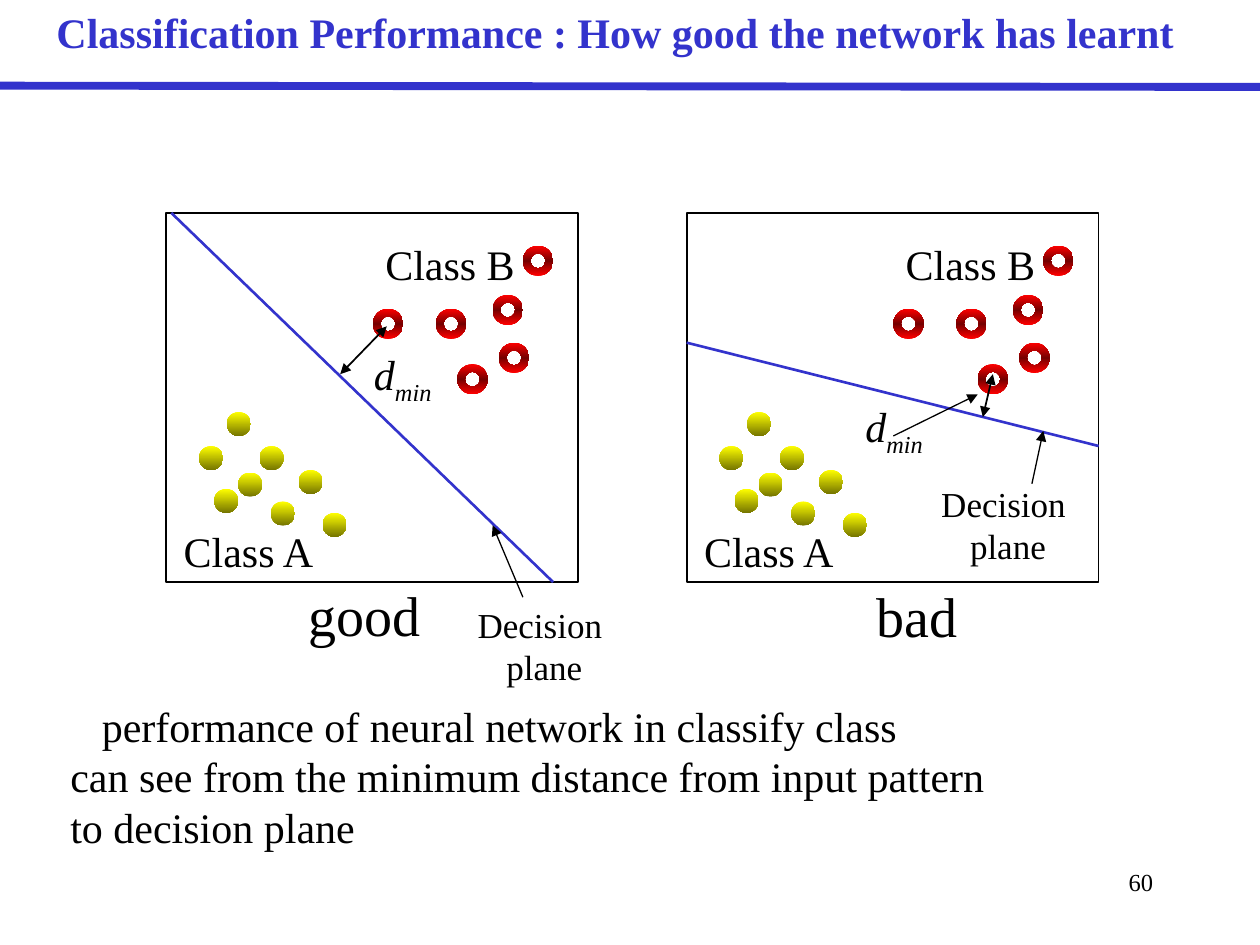
from copy import deepcopy

from lxml import etree
from pptx import Presentation
from pptx import util as u
from pptx.dml.color import RGBColor
from pptx.enum import shapes, text
from pptx.oxml.ns import qn

PX = 9144  # EMU in one px, 100 px to the inch
FONT = "Times New Roman"
COLORS = {
    "blue": "3333CC",
    "black": "000000",
    "yellow": "FFFF00",
    "olive": "767600",
    "red": "FF0000",
    "maroon": "760000",
}
PANEL_TOP, PANEL_WIDTH, PANEL_HEIGHT = 169, 327, 293
GOOD_LEFT, BAD_LEFT = 132, 545

# Corners of the points, measured from the left of a panel and the top of the slide
CLASS_A = [(38, 388), (74, 354), (48, 327), (124, 407),
           (83, 398), (26, 354), (57, 375), (105, 373)]
CLASS_B = [(164, 245), (283, 195), (259, 234), (214, 245), (264, 272), (231, 289)]


def px(*lengths):
    return [u.Emu(length * PX) for length in lengths]


def rgb(name):
    return RGBColor.from_string(COLORS[name])


def add_line(page, start, end, color="black", width=0.75, arrows=()):
    line = page.shapes.add_connector(
        shapes.MSO_CONNECTOR.STRAIGHT, *px(*start, *end))
    line.line.color.rgb = rgb(color)
    line.line.width = u.Pt(width)
    outline = line.line._get_or_add_ln()
    for arrow in arrows:
        etree.SubElement(outline, qn("a:" + arrow), type="triangle")
    etree.SubElement(line._element.spPr, qn("a:effectLst"))


def style_span(span, size, color="black", bold=False, italic=False):
    span.font.name = FONT
    span.font.size = u.Pt(size)
    span.font.bold = bold
    span.font.italic = italic
    span.font.color.rgb = rgb(color)


def add_text(page, box_px, lines, size=24, color="black", bold=False,
             align=text.PP_ALIGN.LEFT, wrap=False):
    box = page.shapes.add_textbox(*px(*box_px))
    frame = box.text_frame
    frame.text = "\n".join(lines)
    frame.word_wrap = wrap
    frame.auto_size = text.MSO_AUTO_SIZE.SHAPE_TO_FIT_TEXT
    for para in frame.paragraphs:
        para.alignment = align
        for span in para.runs:
            style_span(span, size, color, bold)
    return frame


def add_distance_label(page, left, top):
    # Wide enough to hold the symbol and its subscript on one line
    para = add_text(page, (left, top, 80, 56), ["d"], wrap=True).paragraphs[0]
    para.add_run().text = "min"
    for span in para.runs:
        style_span(span, 24, italic=True)
    para.runs[1].font._element.set("baseline", "-25000")


def add_plane_label(page, left, top):
    add_text(page, (left, top, 126, 77), ["Decision ", "plane"], size=20,
             align=text.PP_ALIGN.CENTER)


def add_point(page, kind, left, top, size, colors):
    point = page.shapes.add_shape(kind, *px(left, top, size, size))
    point.shadow.inherit = False
    point.line.fill.background()
    point.fill.gradient()
    point.fill.gradient_angle = 270  # first colour at the top
    stop_list = point._element.spPr.find(".//" + qn("a:gsLst"))
    while len(stop_list) < len(colors):
        stop_list.append(deepcopy(stop_list[0]))
    for index, (stop, color) in enumerate(zip(point.fill.gradient_stops, colors)):
        stop.position = index / (len(colors) - 1)
        stop.color.rgb = rgb(color)


def add_panel(page, left, plane_start, plane_end):
    # Frame
    frame = page.shapes.add_shape(
        shapes.MSO_SHAPE.RECTANGLE, *px(left, PANEL_TOP, PANEL_WIDTH, PANEL_HEIGHT))
    frame.shadow.inherit = False
    frame.fill.background()
    frame.line.color.rgb = rgb("black")
    frame.line.width = u.Pt(1)

    # Points of both classes
    for x, y in CLASS_A:
        add_point(page, shapes.MSO_SHAPE.OVAL, left + x, y, 19, ["yellow", "olive"])
    for x, y in CLASS_B:
        add_point(page, shapes.MSO_SHAPE.DONUT, left + x, y, 24,
                  ["red", "maroon", "red"])

    # Class names and decision plane
    add_text(page, (left + 4, 412, 124, 50), ["Class A"])
    add_text(page, (left + 164, 184, 123, 50), ["Class B"])
    add_line(page, plane_start, plane_end, "blue", 1.5)


def main():
    deck = Presentation()
    deck.slide_width, deck.slide_height = px(1000, 750)
    page = deck.slides.add_slide(deck.slide_layouts[6])

    # Rule, page number and title
    add_line(page, (0, 68), (1000, 69), "blue", 4.5)
    add_text(page, (717, 683, 208, 50), ["60"], size=14,
             align=text.PP_ALIGN.RIGHT, wrap=True)
    add_text(page, (35, 0, 907, 50),
             ["Classification Performance : How good the network has learnt"],
             color="blue", bold=True)

    # The two cases
    add_panel(page, GOOD_LEFT, (136, 169), (439, 462))
    add_panel(page, BAD_LEFT, (545, 272), (872, 354))

    # Minimum distances
    both_ends = ("headEnd", "tailEnd")
    add_line(page, (270, 297), (307, 259), width=1, arrows=both_ends)
    add_line(page, (780, 331), (788, 297), width=1, arrows=both_ends)
    add_distance_label(page, 287, 272)
    add_distance_label(page, 677, 313)
    add_line(page, (709, 346), (776, 313), arrows=["tailEnd"])

    # Decision plane labels with pointers
    add_plane_label(page, 369, 474)
    add_line(page, (415, 474), (391, 417), arrows=["tailEnd"])
    add_plane_label(page, 737, 378)
    add_line(page, (819, 384), (828, 342), arrows=["tailEnd"])

    # Explanation and captions
    body = add_text(page, (46, 551, 910, 130), [
        "performance of neural network in classify class",
        "can see from the minimum distance from input pattern",
        "to decision plane",
    ], wrap=True)
    body.paragraphs[0]._p.get_or_add_pPr().set("indent", str(25 * PX))
    add_text(page, (235, 456, 109, 64), ["good"], size=32)
    add_text(page, (686, 457, 84, 64), ["bad"], size=32)

    deck.save("out.pptx")


if __name__ == "__main__":
    main()
